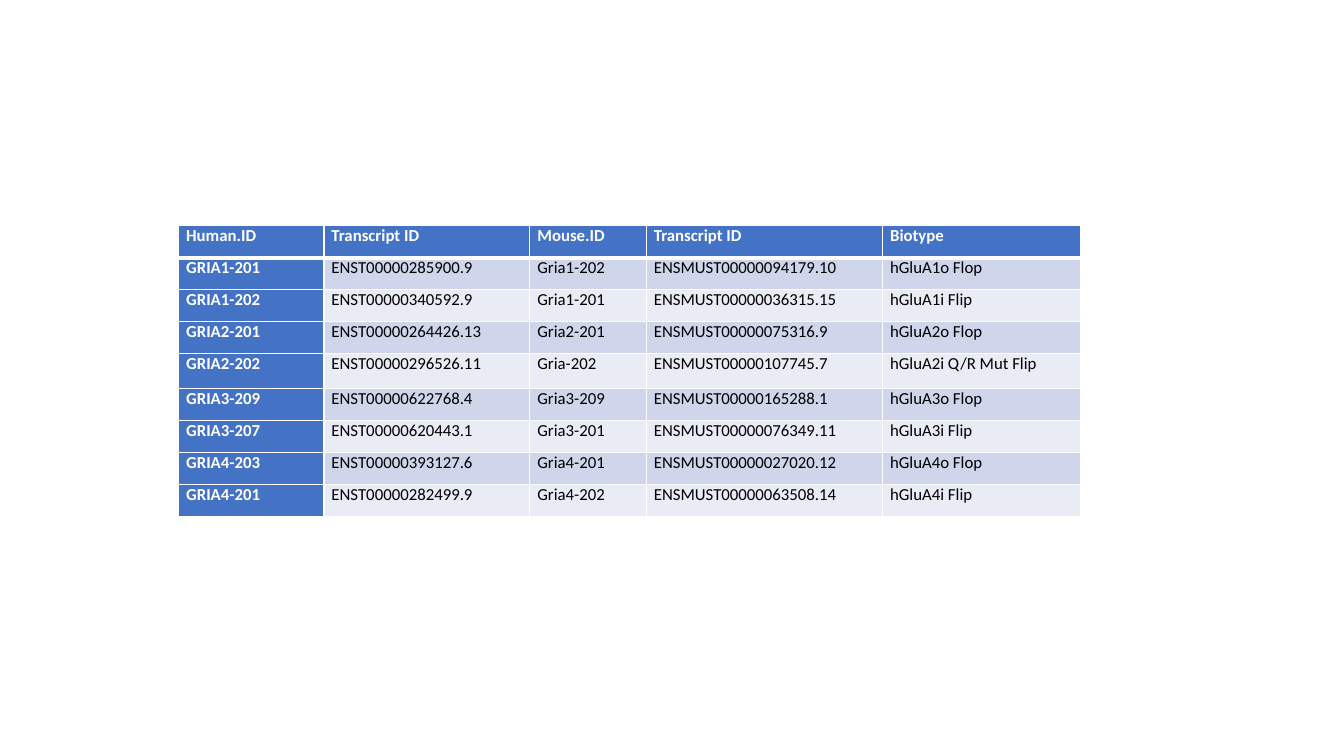
from dataclasses import dataclass

from lxml import etree
from pptx import Presentation
from pptx.dml.color import RGBColor
from pptx.enum import text
from pptx.oxml import ns
from pptx.util import Pt


@dataclass(frozen=True)
class Theme:
    font: str = "Calibri"
    size: float = 12
    heading_fill: str = "4472C4"
    heading_text: str = "FFFFFF"
    body_text: str = "000000"
    bands: tuple = ("CFD5EA", "E9EBF5")
    border: str = "FFFFFF"
    thin: float = 1
    thick: float = 3


THEME = Theme()
LEFT, TOP = 127.6, 161.3
COLUMN_WIDTHS = (103.8, 147.1, 83.2, 168.8, 141.3)
ROW_HEIGHT = 22.86
TALL_ROW, TALL_HEIGHT = 4, 25
SIDE_MARGIN = 5.4
FIRST_GRIA2_ROW = 3

TRANSCRIPTS = (
    ("Human.ID", "Transcript ID", "Mouse.ID", "Transcript ID", "Biotype"),
    ("GRIA1-201", "ENST00000285900.9", "Gria1-202", "ENSMUST00000094179.10", "hGluA1o Flop"),
    ("GRIA1-202", "ENST00000340592.9", "Gria1-201", "ENSMUST00000036315.15", "hGluA1i Flip"),
    ("GRIA2-201", "ENST00000264426.13", "Gria2-201", "ENSMUST00000075316.9", "hGluA2o Flop"),
    ("GRIA2-202", "ENST00000296526.11", "Gria-202", "ENSMUST00000107745.7", "hGluA2i Q/R Mut Flip"),
    ("GRIA3-209", "ENST00000622768.4", "Gria3-209", "ENSMUST00000165288.1", "hGluA3o Flop"),
    ("GRIA3-207", "ENST00000620443.1", "Gria3-201", "ENSMUST00000076349.11", "hGluA3i Flip"),
    ("GRIA4-203", "ENST00000393127.6", "Gria4-201", "ENSMUST00000027020.12", "hGluA4o Flop"),
    ("GRIA4-201", "ENST00000282499.9", "Gria4-202", "ENSMUST00000063508.14", "hGluA4i Flip"),
)


def add_borders(cell, top, bottom):
    """Draw all four cell edges; call before the fill, which must follow them in the XML."""
    properties = cell._tc.get_or_add_tcPr()
    widths = {"lnL": THEME.thin, "lnR": THEME.thin, "lnT": top, "lnB": bottom}
    for edge, width in widths.items():
        line = etree.SubElement(properties, ns.qn(f"a:{edge}"), w=str(Pt(width)))
        fill = etree.SubElement(line, ns.qn("a:solidFill"))
        etree.SubElement(fill, ns.qn("a:srgbClr"), val=THEME.border)


def alignment(row, column):
    left = (row > 0 and column == 1) or (row >= FIRST_GRIA2_ROW and column in (0, 4))
    return text.PP_ALIGN.LEFT if left else text.PP_ALIGN.JUSTIFY


def fill_cell(cell, row, column, words):
    heading = row == 0 or column == 0
    add_borders(cell,
                top=THEME.thick if row == 1 else THEME.thin,
                bottom=THEME.thick if row == 0 else THEME.thin)
    cell.fill.solid()
    cell.fill.fore_color.rgb = RGBColor.from_string(
        THEME.heading_fill if heading else THEME.bands[(row - 1) % 2])
    cell.margin_left = cell.margin_right = Pt(SIDE_MARGIN)
    cell.margin_top = cell.margin_bottom = Pt(0)
    para = cell.text_frame.paragraphs[0]
    para.alignment = alignment(row, column)
    span = para.add_run()
    span.text = words
    span.font.name = THEME.font
    span.font.size = Pt(THEME.size)
    span.font.bold = heading
    span.font.color.rgb = RGBColor.from_string(
        THEME.heading_text if heading else THEME.body_text)


def add_transcript_table(page):
    heights = [TALL_HEIGHT if row == TALL_ROW else ROW_HEIGHT
               for row in range(len(TRANSCRIPTS))]
    table = page.shapes.add_table(
        len(TRANSCRIPTS), len(COLUMN_WIDTHS), Pt(LEFT), Pt(TOP),
        Pt(sum(COLUMN_WIDTHS)), Pt(sum(heights))).table
    table.first_col = True
    for column, width in zip(table.columns, COLUMN_WIDTHS):
        column.width = Pt(width)
    for row, height in zip(table.rows, heights):
        row.height = Pt(height)
    for row, record in enumerate(TRANSCRIPTS):
        for column, words in enumerate(record):
            fill_cell(table.cell(row, column), row, column, words)


def main():
    deck = Presentation()
    deck.slide_width, deck.slide_height = Pt(960), Pt(540)
    page = deck.slides.add_slide(deck.slide_layouts[6])
    add_transcript_table(page)
    deck.save("out.pptx")


if __name__ == "__main__":
    main()
